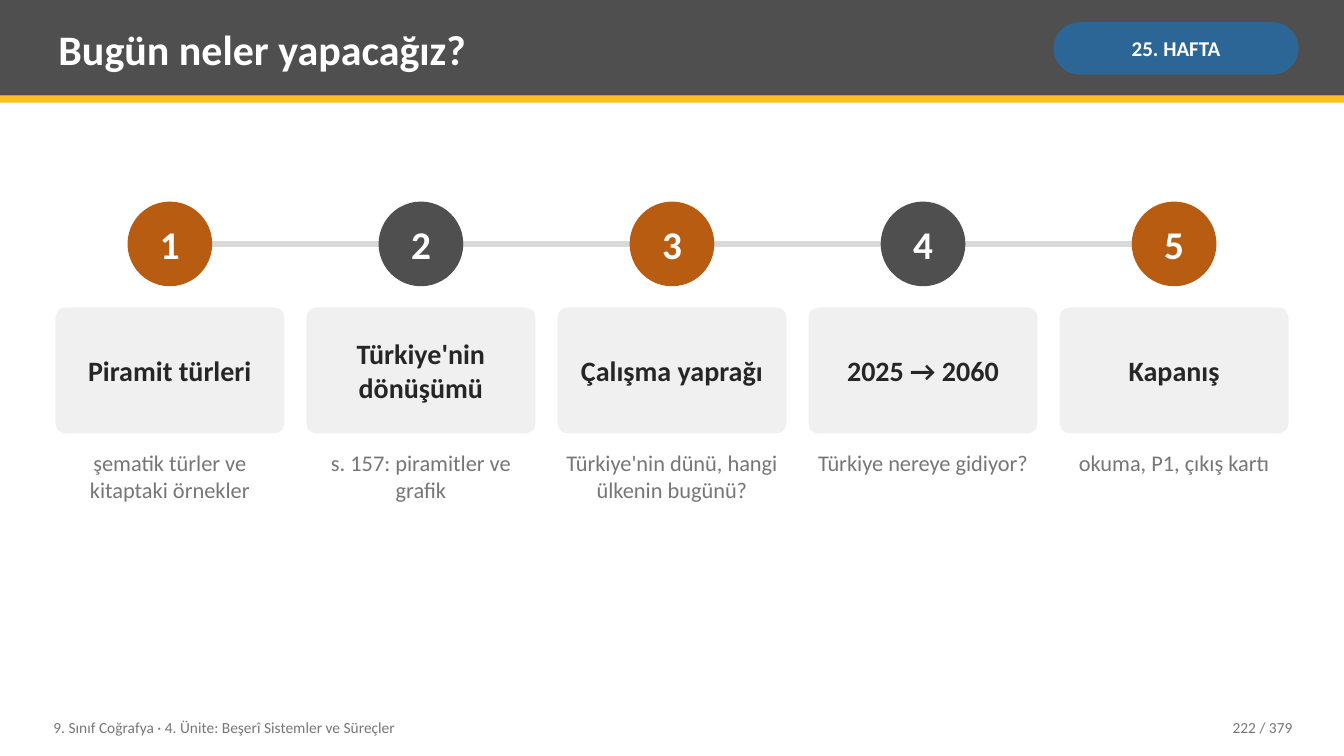
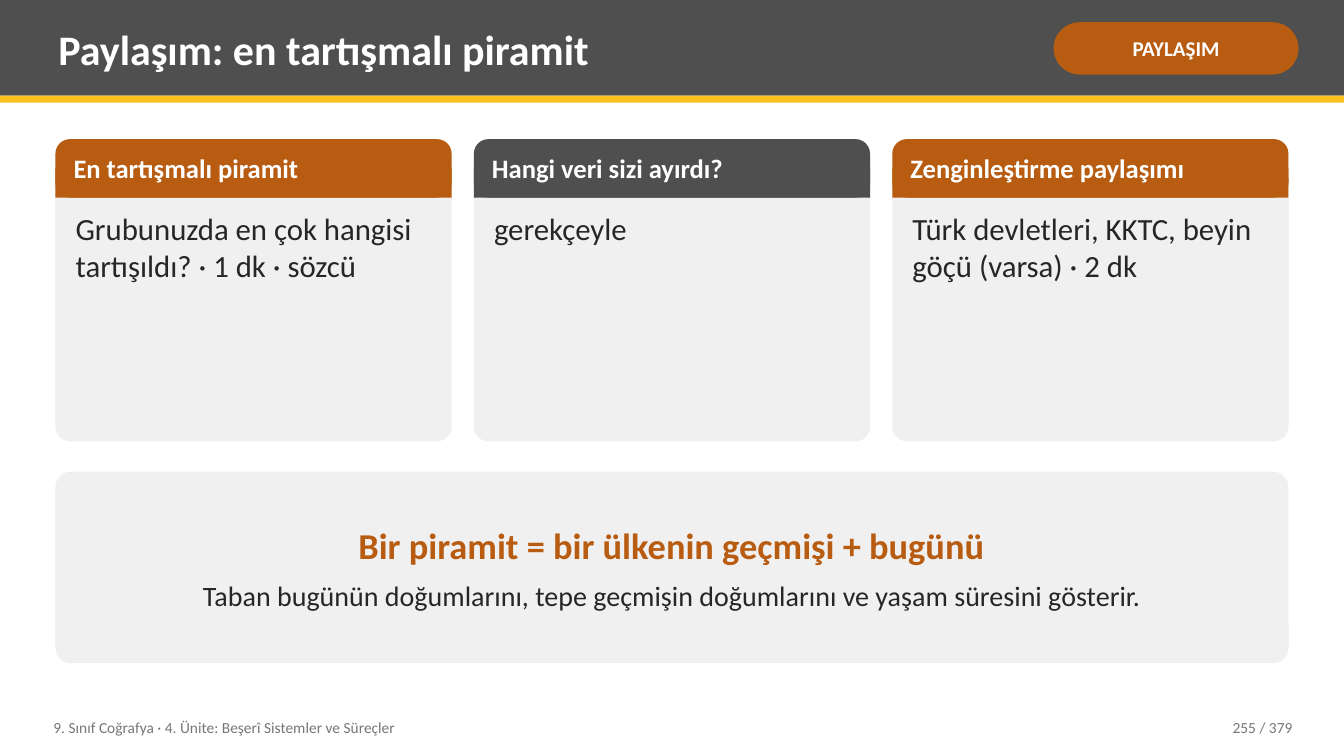
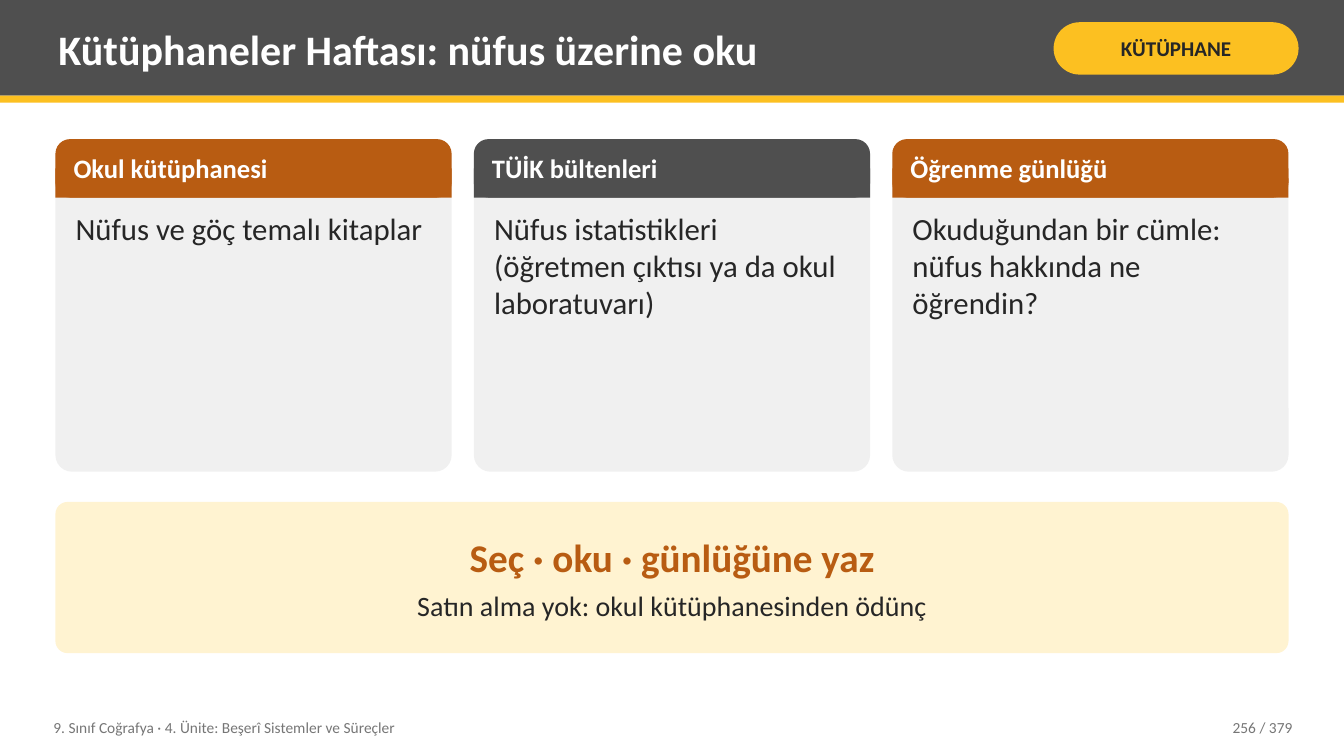
"""Build three geography lesson slides with a shared header, footer and column grid."""
import dataclasses
import typing

import lxml.etree
import pptx
import pptx.dml.color
import pptx.enum.shapes
import pptx.enum.text
import pptx.oxml.ns
import pptx.util

SHAPES = pptx.enum.shapes.MSO_SHAPE
ALIGN = pptx.enum.text.PP_ALIGN
ANCHOR = pptx.enum.text.MSO_ANCHOR

WIDTH, HEIGHT = 13.33, 7.5
MARGIN, GAP = 0.55, 0.22
CONTENT = WIDTH - 2 * MARGIN
BAND = 0.95
CARD_TOP, CARD_HEAD, CARD_SPACE = 1.38, 0.58, 0.3

FONT = "Calibri"
GREY, ORANGE, YELLOW, BLUE = "4F4F4F", "B85C12", "FCC021", "2C6696"
WHITE, INK, MUTED = "FFFFFF", "262626", "767676"
PANEL, CREAM, RULE = "F0F0F0", "FFF3D1", "D9D9D9"
ACCENTS = (ORANGE, GREY)

FOOTER = "9. Sınıf Coğrafya · 4. Ünite: Beşerî Sistemler ve Süreçler"
PAGE_COUNT = 379


class Box(typing.NamedTuple):
    left: float
    top: float
    width: float
    height: float


class Line(typing.NamedTuple):
    text: str
    size: float
    colour: str = INK
    bold: bool = False
    space_after: float = 0


@dataclasses.dataclass(frozen=True)
class Frame:
    align: typing.Any = ALIGN.LEFT
    anchor: typing.Any = ANCHOR.MIDDLE
    inset: tuple[float, float] = (0.08, 0.04)
    wrap: bool = True


@dataclasses.dataclass(frozen=True)
class Header:
    title: str
    tag: str
    tag_fill: str
    page: int
    tag_colour: str = WHITE


class Step(typing.NamedTuple):
    name: str
    detail: str


class Card(typing.NamedTuple):
    heading: str
    body: str


@dataclasses.dataclass(frozen=True)
class Message:
    lines: list[Line]
    height: float
    fill: str


@dataclasses.dataclass(frozen=True)
class CardSlide:
    header: Header
    cards: list[Card]
    card_height: float
    message: Message


def colour(value: str) -> pptx.dml.color.RGBColor:
    """Turn a hex string into a colour."""
    return pptx.dml.color.RGBColor.from_string(value)


def apply(target: typing.Any, values: dict[str, typing.Any]) -> None:
    """Set every named attribute on the target."""
    for name, value in values.items():
        setattr(target, name, value)


def inches(box: Box) -> list[int]:
    """Convert a box to slide units."""
    return [pptx.util.Inches(length) for length in box]


def column(index: int, count: int, top: float, height: float) -> Box:
    """Return one cell of an equal-column grid across the content width."""
    width = (CONTENT - (count - 1) * GAP) / count
    return Box(MARGIN + index * (width + GAP), top, width, height)


def write(shape, lines: list[Line], frame: Frame) -> None:
    """Fill a shape's text frame with formatted lines."""
    across, down = map(pptx.util.Inches, frame.inset)
    text_frame = shape.text_frame
    apply(text_frame, {
        "word_wrap": frame.wrap, "vertical_anchor": frame.anchor,
        "margin_left": across, "margin_right": across,
        "margin_top": down, "margin_bottom": down,
    })
    for index, line in enumerate(lines):
        paragraph = text_frame.add_paragraph() if index else text_frame.paragraphs[0]
        apply(paragraph, {"alignment": frame.align, "space_after": pptx.util.Pt(line.space_after)})
        run = paragraph.add_run()
        run.text = line.text
        apply(run.font, {"name": FONT, "size": pptx.util.Pt(line.size), "bold": line.bold})
        run.font.color.rgb = colour(line.colour)


def add_text(slide, box: Box, line: Line, frame: Frame = Frame()) -> None:
    """Add a text box with one line."""
    write(slide.shapes.add_textbox(*inches(box)), [line], frame)


def add_block(slide, kind, box: Box, fill: str, rounding: float | None = None):
    """Add a flat, borderless preset shape."""
    shape = slide.shapes.add_shape(kind, *inches(box))
    shape.shadow.inherit = False
    shape.fill.solid()
    shape.fill.fore_color.rgb = colour(fill)
    shape.line.fill.background()
    if rounding is not None:
        shape.adjustments[0] = rounding
    return shape


def add_rule(slide, start: float, end: float, level: float) -> None:
    """Add a horizontal line."""
    left, right, height = map(pptx.util.Inches, (start, end, level))
    connector = slide.shapes.add_connector(
        pptx.enum.shapes.MSO_CONNECTOR.STRAIGHT, left, height, right, height)
    connector.line.color.rgb = colour(RULE)
    connector.line.width = pptx.util.Pt(4)
    properties = connector._element.spPr
    lxml.etree.SubElement(properties, pptx.oxml.ns.qn("a:effectLst"))


def add_slide(presentation, header: Header):
    """Add a blank slide with the shared header and footer."""
    slide = presentation.slides.add_slide(presentation.slide_layouts[6])
    add_block(slide, SHAPES.RECTANGLE, Box(0, 0, WIDTH, BAND), GREY)
    add_block(slide, SHAPES.RECTANGLE, Box(0, BAND, WIDTH, 0.07), YELLOW)
    add_text(slide, Box(0.5, 0.07, 9.75, 0.82), Line(header.title, 30, WHITE, True))
    tag = add_block(slide, SHAPES.ROUNDED_RECTANGLE, Box(10.45, 0.22, 2.43, 0.52),
                    header.tag_fill, 0.5)
    write(tag, [Line(header.tag, 15, header.tag_colour, True)],
          Frame(ALIGN.CENTER, inset=(0.05, 0.02)))
    add_text(slide, Box(0.45, 7.04, 7.6, 0.36), Line(FOOTER, 11, MUTED))
    add_text(slide, Box(11.3, 7.04, 1.6, 0.36),
             Line(f"{header.page} / {PAGE_COUNT}", 11, MUTED), Frame(ALIGN.RIGHT))
    return slide


def add_steps(slide, steps: list[Step]) -> None:
    """Draw numbered steps along a line."""
    diameter, top, count = 0.84, 2.0, len(steps)
    cells = [column(index, count, 3.05, 1.25) for index in range(count)]
    centres = [cell.left + cell.width / 2 for cell in cells]
    add_rule(slide, centres[0], centres[-1], top + diameter / 2)
    for index, (step, cell, centre) in enumerate(zip(steps, cells, centres)):
        circle = add_block(slide, SHAPES.OVAL,
                           Box(centre - diameter / 2, top, diameter, diameter),
                           ACCENTS[index % 2])
        write(circle, [Line(str(index + 1), 28, WHITE, True)],
              Frame(ALIGN.CENTER, inset=(0, 0), wrap=False))
        panel = add_block(slide, SHAPES.ROUNDED_RECTANGLE, cell, PANEL, 0.08)
        write(panel, [Line(step.name, 20, INK, True)], Frame(ALIGN.CENTER, inset=(0.08, 0.08)))
        add_text(slide, cell._replace(top=4.42, height=1.9), Line(step.detail, 16, MUTED),
                 Frame(ALIGN.CENTER, ANCHOR.TOP))


def add_card(slide, card: Card, box: Box, accent: str) -> None:
    """Draw a card with a coloured heading."""
    head = box._replace(height=CARD_HEAD)
    half = CARD_HEAD / 2
    add_block(slide, SHAPES.ROUNDED_RECTANGLE, box, PANEL, 0.05)
    add_block(slide, SHAPES.ROUNDED_RECTANGLE, head, accent, 0.25)
    add_block(slide, SHAPES.RECTANGLE, head._replace(top=box.top + half, height=half), accent)
    add_text(slide, head._replace(left=box.left + 0.1, width=box.width - 0.2),
             Line(card.heading, 19, WHITE, True))
    body = Box(box.left + 0.12, box.top + CARD_HEAD + 0.08,
               box.width - 0.24, box.height - CARD_HEAD - 0.16)
    add_text(slide, body, Line(card.body, 22), Frame(anchor=ANCHOR.TOP))


def add_card_slide(presentation, content: CardSlide) -> None:
    """Add a slide with a row of cards above a message."""
    slide = add_slide(presentation, content.header)
    for index, card in enumerate(content.cards):
        box = column(index, len(content.cards), CARD_TOP, content.card_height)
        add_card(slide, card, box, ACCENTS[index % 2])
    message = content.message
    top = CARD_TOP + content.card_height + CARD_SPACE
    panel = add_block(slide, SHAPES.ROUNDED_RECTANGLE, column(0, 1, top, message.height),
                      message.fill, 0.08)
    write(panel, message.lines, Frame(ALIGN.CENTER, inset=(0.14, 0.08)))


AGENDA = Header("Bugün neler yapacağız?", "25. HAFTA", BLUE, 222)
STEPS = [
    Step("Piramit türleri", "şematik türler ve kitaptaki örnekler"),
    Step("Türkiye'nin dönüşümü", "s. 157: piramitler ve grafik"),
    Step("Çalışma yaprağı", "Türkiye'nin dünü, hangi ülkenin bugünü?"),
    Step("2025 → 2060", "Türkiye nereye gidiyor?"),
    Step("Kapanış", "okuma, P1, çıkış kartı"),
]
CARD_SLIDES = [
    CardSlide(
        Header("Paylaşım: en tartışmalı piramit", "PAYLAŞIM", ORANGE, 255),
        [
            Card("En tartışmalı piramit", "Grubunuzda en çok hangisi tartışıldı? · 1 dk · sözcü"),
            Card("Hangi veri sizi ayırdı?", "gerekçeyle"),
            Card("Zenginleştirme paylaşımı", "Türk devletleri, KKTC, beyin göçü (varsa) · 2 dk"),
        ],
        3.0,
        Message([
            Line("Bir piramit = bir ülkenin geçmişi + bugünü", 26, ORANGE, True, 8),
            Line("Taban bugünün doğumlarını, tepe geçmişin doğumlarını "
                 "ve yaşam süresini gösterir.", 20),
        ], 1.9, PANEL),
    ),
    CardSlide(
        Header("Kütüphaneler Haftası: nüfus üzerine oku", "KÜTÜPHANE", YELLOW, 256, INK),
        [
            Card("Okul kütüphanesi", "Nüfus ve göç temalı kitaplar"),
            Card("TÜİK bültenleri",
                 "Nüfus istatistikleri (öğretmen çıktısı ya da okul laboratuvarı)"),
            Card("Öğrenme günlüğü", "Okuduğundan bir cümle: nüfus hakkında ne öğrendin?"),
        ],
        3.3,
        Message([
            Line("Seç · oku · günlüğüne yaz", 28, ORANGE, True, 6),
            Line("Satın alma yok: okul kütüphanesinden ödünç", 20),
        ], 1.5, CREAM),
    ),
]


def main() -> None:
    """Build and save the presentation."""
    presentation = pptx.Presentation()
    apply(presentation, {"slide_width": pptx.util.Inches(WIDTH),
                         "slide_height": pptx.util.Inches(HEIGHT)})
    add_steps(add_slide(presentation, AGENDA), STEPS)
    for content in CARD_SLIDES:
        add_card_slide(presentation, content)
    presentation.save("out.pptx")


if __name__ == "__main__":
    main()
